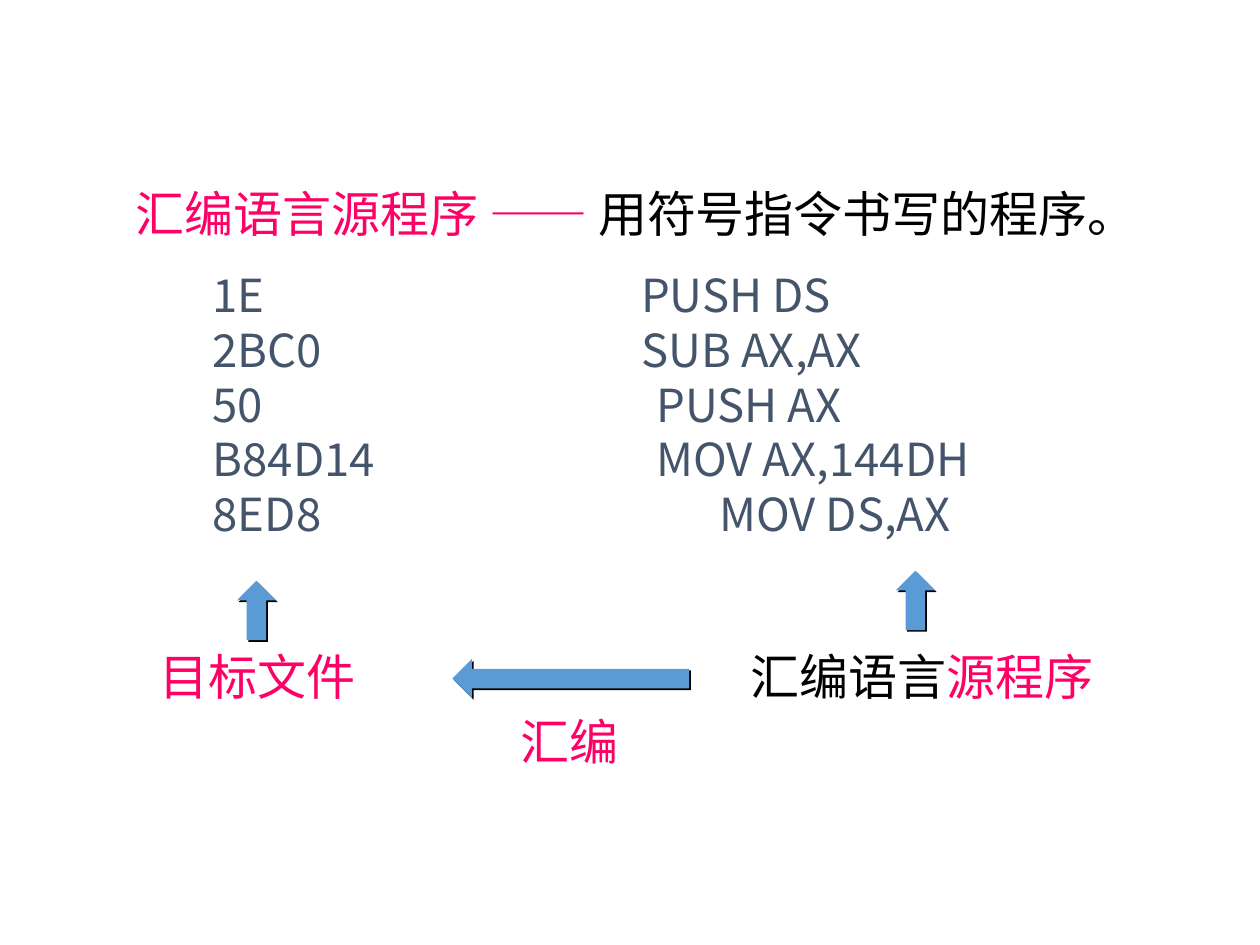
from lxml.etree import SubElement as add_element
from pptx import Presentation
from pptx.dml.color import RGBColor
from pptx.enum.shapes import MSO_SHAPE as Shape
from pptx.enum.text import MSO_ANCHOR as Anchor, PP_ALIGN as Align
from pptx.oxml.ns import qn
from pptx.util import Inches, Pt

COLORS = {"accent": "FF0066", "text": "000000", "code": "44546A",
          "arrow": "5B9BD5", "shadow": "000000"}
FONT = "Noto Sans CJK SC"


def add_span(para, text, size=28, color="text"):
    span = para.add_run()
    span.text = text
    span.font.size = Pt(size)
    span.font.name = FONT
    span.font.color.rgb = RGBColor.from_string(COLORS[color])
    add_element(span.font._element, qn("a:ea"), typeface=FONT)


class Page:
    def __init__(self, deck):
        self.page = deck.slides.add_slide(deck.slide_layouts[6])

    def add_box(self, left, top, width, height):
        box = self.page.shapes.add_textbox(
            Inches(left), Inches(top), Inches(width), Inches(height))
        box.text_frame.word_wrap = True
        return box.text_frame

    def label(self, left, top, width, spans, align=Align.LEFT):
        para = self.add_box(left, top, width, 0.57).paragraphs[0]
        para.alignment = align
        para.line_spacing = Pt(33.6)
        for text, color in spans:
            add_span(para, text, color=color)

    def listing(self, left, width, rows):
        frame = self.add_box(left, 2.09, width, 2.23)
        frame.vertical_anchor = Anchor.MIDDLE
        for index, (text, indent) in enumerate(rows):
            para = frame.add_paragraph() if index else frame.paragraphs[0]
            props = para._p.get_or_add_pPr()
            props.set("marL", str(Inches(indent)))
            props.set("indent", "0")
            para.line_spacing = Pt(31.2)
            add_span(para, text, size=26, color="code")

    def arrow(self, left, top, width, rotation):
        arrow = self.page.shapes.add_shape(
            Shape.RIGHT_ARROW, Inches(left), Inches(top), Inches(width), Inches(0.31))
        arrow.rotation = rotation
        arrow.fill.solid()
        arrow.fill.fore_color.rgb = RGBColor.from_string(COLORS["arrow"])
        arrow.line.fill.background()
        arrow.shadow.inherit = False
        effects = arrow._element.spPr.find(qn("a:effectLst"))
        shadow = add_element(effects, qn("a:outerShdw"), dist=str(Pt(1.4)),
                             dir=str(45 * 60000), algn="ctr", rotWithShape="0")
        add_element(shadow, qn("a:srgbClr"), val=COLORS["shadow"])


def main():
    deck = Presentation()
    deck.slide_width, deck.slide_height = Inches(10), Inches(7.5)
    page = Page(deck)
    machine_codes = ["1E", "2BC0", "50", "B84D14", "8ED8"]
    page.listing(1.09, 3.5, [(code, 0.5) for code in machine_codes])
    page.listing(4.99, 4.07, [
        ("PUSH DS", 0),
        ("SUB AX,AX", 0),
        ("PUSH AX", 0.12),
        ("MOV AX,144DH", 0.12),
        ("MOV DS,AX", 0.62),
    ])
    page.label(5.86, 5.08, 2.97, [("汇编语言", "text"), ("源程序", "accent")])
    page.arrow(3.59, 5.23, 1.88, 180)
    page.label(3.73, 5.6, 1.58, [("汇编", "accent")], align=Align.CENTER)
    page.label(1.17, 5.08, 2.11, [("目标文件", "accent")])
    page.arrow(7.03, 4.61, 0.47, 270)
    page.arrow(1.8, 4.69, 0.47, 270)
    page.label(0.98, 1.41, 8.45, [("汇编语言源程序 —— ", "accent"),
                                  ("用符号指令书写的程序。", "text")])
    deck.save("out.pptx")


if __name__ == "__main__":
    main()
